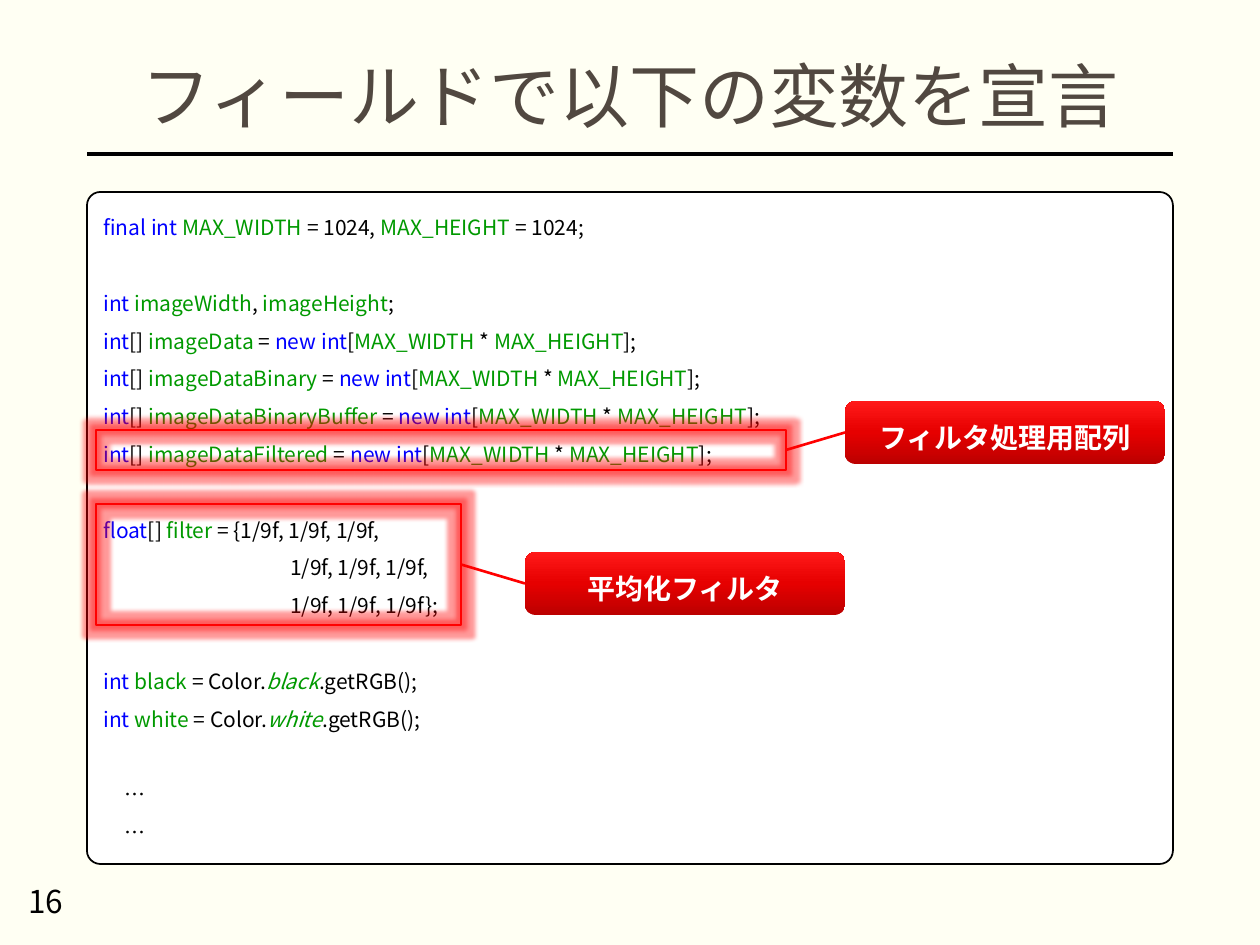
from copy import deepcopy
from itertools import groupby

from lxml.etree import SubElement
from pptx import Presentation
from pptx.dml.color import RGBColor
from pptx.enum.shapes import MSO_CONNECTOR, MSO_SHAPE
from pptx.enum.text import MSO_ANCHOR, PP_ALIGN
from pptx.oxml.ns import qn
from pptx.util import Pt

SCALE = 914400 / 126
FONT = "Noto Sans CJK JP"
PITCH = Pt(21.6)
COLORS = {
    "page": "FFFFF3", "title": "514840", "black": "000000", "white": "FFFFFF",
    "key": "0000FF", "name": "009900", "red": "FF0000",
    "low": "BC0000", "mid": "E60000", "high": "FF1919",
}
KEYS = {"final", "int", "new", "float"}
ARRAYS = ["imageData", "imageDataBinary", "imageDataBinaryBuffer", "imageDataFiltered"]
NAMES = {"MAX_WIDTH", "MAX_HEIGHT", "imageWidth", "imageHeight",
         "filter", "black", "white", *ARRAYS}
BLOCKS = [
    [(0, "final int MAX_WIDTH = 1024, MAX_HEIGHT = 1024;")],
    [(0, "int imageWidth, imageHeight;")]
    + [(0, f"int[] {name} = new int[MAX_WIDTH * MAX_HEIGHT];") for name in ARRAYS],
    [(0, "float[] filter = {1/9f, 1/9f, 1/9f,"),
     (187, "1/9f, 1/9f, 1/9f,"),
     (187, "1/9f, 1/9f, 1/9f};")],
    [(0, f"int {name} = Color.{name}.getRGB();") for name in ("black", "white")],
    [(21, "…"), (21, "…")],
]


def px(*nums):
    return [round(num * SCALE) for num in nums]


def color(key):
    return RGBColor.from_string(COLORS[key])


def style(run, size, key, bold=False, italic=False):
    font = run.font
    font.size, font.bold, font.italic = Pt(size), bold, italic
    font.color.rgb = color(key)
    font.name = FONT
    SubElement(run._r.get_or_add_rPr(), qn("a:ea")).set("typeface", FONT)


def add_text(slide, box, text, size, key, align=PP_ALIGN.LEFT,
             anchor=MSO_ANCHOR.TOP, space=1.0):
    frame = slide.shapes.add_textbox(*px(*box)).text_frame
    frame.word_wrap = True
    frame.vertical_anchor = anchor
    para = frame.paragraphs[0]
    para.text = text
    para.alignment, para.line_spacing = align, space
    style(para.runs[0], size, key)


def add_line(slide, ends, key, width):
    line = slide.shapes.add_connector(MSO_CONNECTOR.STRAIGHT, *px(*ends))
    line.line.color.rgb = color(key)
    line.line.width = Pt(width)
    SubElement(line._element.spPr, qn("a:effectLst"))


def add_box(slide, kind, box):
    shape = slide.shapes.add_shape(kind, *px(*box))
    shape.shadow.inherit = False
    return shape


def fill_code(para, text):
    last = ""
    for _, group in groupby(text, lambda sign: sign.isalnum() or sign == "_"):
        word = "".join(group)
        run = para.add_run()
        run.text = word
        key = "key" if word in KEYS else "name" if word in NAMES else "black"
        style(run, 12, key, italic=key == "name" and last == ".")
        last = word


def add_code(slide, box):
    panel = add_box(slide, MSO_SHAPE.ROUNDED_RECTANGLE, box)
    panel.adjustments[0] = 0.02
    panel.fill.solid()
    panel.fill.fore_color.rgb = color("white")
    panel.line.color.rgb = color("black")
    panel.line.width = Pt(1)
    frame = panel.text_frame
    frame.word_wrap = True
    frame.vertical_anchor = MSO_ANCHOR.TOP
    para = frame.paragraphs[0]
    for part, block in enumerate(BLOCKS):
        for row, (indent, text) in enumerate(block):
            if part or row:
                para = frame.add_paragraph()
            para.alignment = PP_ALIGN.LEFT
            para.line_spacing = PITCH
            if part and not row:
                para.space_before = PITCH
            if indent:
                para._p.get_or_add_pPr().set("marL", str(px(indent)[0]))
            fill_code(para, text)


def add_frame(slide, box):
    frame = add_box(slide, MSO_SHAPE.RECTANGLE, box)
    frame.fill.background()
    frame.line.color.rgb = color("red")
    frame.line.width = Pt(1.5)
    effects = frame._element.spPr.find(qn("a:effectLst"))
    glow = SubElement(effects, qn("a:glow"), rad="63500")
    tint = SubElement(glow, qn("a:srgbClr"), val=COLORS["red"])
    SubElement(tint, qn("a:alpha"), val="40000")


def shade(shape):
    fill = shape.fill
    fill.gradient()
    fill.gradient_angle = 90
    stops = shape._element.spPr.find(".//" + qn("a:gsLst"))
    stops.insert(1, deepcopy(stops[0]))
    for stop, place, key in zip(fill.gradient_stops, (0, 0.5, 1), ("low", "mid", "high")):
        stop.position = place
        stop.color.rgb = color(key)


def add_label(slide, box, text):
    label = add_box(slide, MSO_SHAPE.ROUNDED_RECTANGLE, box)
    shade(label)
    label.line.fill.background()
    frame = label.text_frame
    frame.word_wrap = True
    frame.vertical_anchor = MSO_ANCHOR.MIDDLE
    frame.margin_left = frame.margin_right = frame.margin_bottom = 0
    frame.margin_top = px(10)[0]
    frame.text = text
    para = frame.paragraphs[0]
    para.alignment = PP_ALIGN.CENTER
    style(para.runs[0], 16, "white", bold=True)


def add_note(slide, frame, label, text):
    add_frame(slide, frame)
    add_label(slide, label, text)
    x, y, wide, high = frame
    left, top, _, tall = label
    add_line(slide, (left, top + tall / 2, x + wide, y + high / 2), "red", 1.5)


def main():
    deck = Presentation()
    deck.slide_width, deck.slide_height = px(1260, 945)
    slide = deck.slides.add_slide(deck.slide_layouts[6])
    slide.background.fill.solid()
    slide.background.fill.fore_color.rgb = color("page")
    add_line(slide, (1173, 154, 87, 154), "black", 2)
    add_text(slide, (87, 45, 1086, 109), "フィールドで以下の変数を宣言", 40, "title",
             PP_ALIGN.CENTER, MSO_ANCHOR.MIDDLE, 0.9)
    add_text(slide, (16, 876, 284, 50), "16", 18, "black")
    add_code(slide, (87, 192, 1086, 672))
    add_note(slide, (96, 430, 690, 40), (845, 401, 320, 63), "フィルタ処理用配列")
    add_note(slide, (96, 504, 365, 121), (525, 552, 320, 63), "平均化フィルタ")
    deck.save("out.pptx")


if __name__ == "__main__":
    main()
